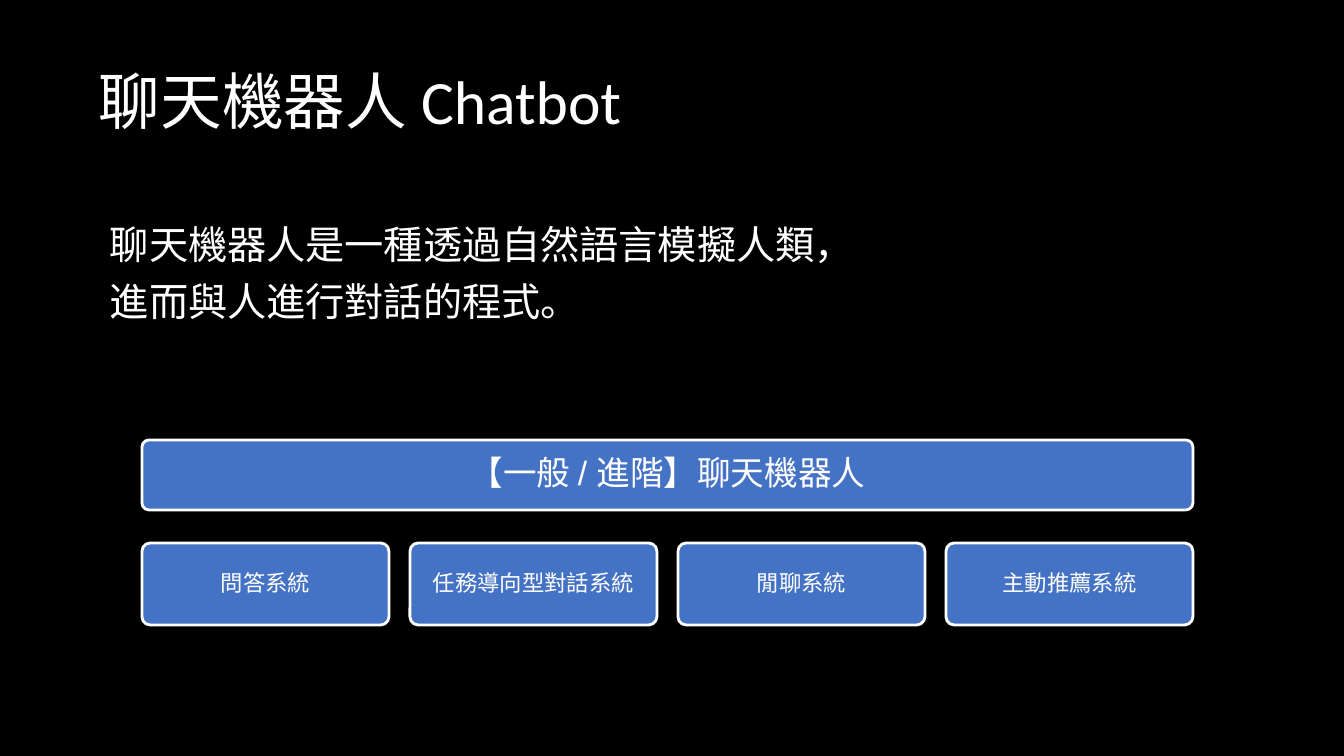
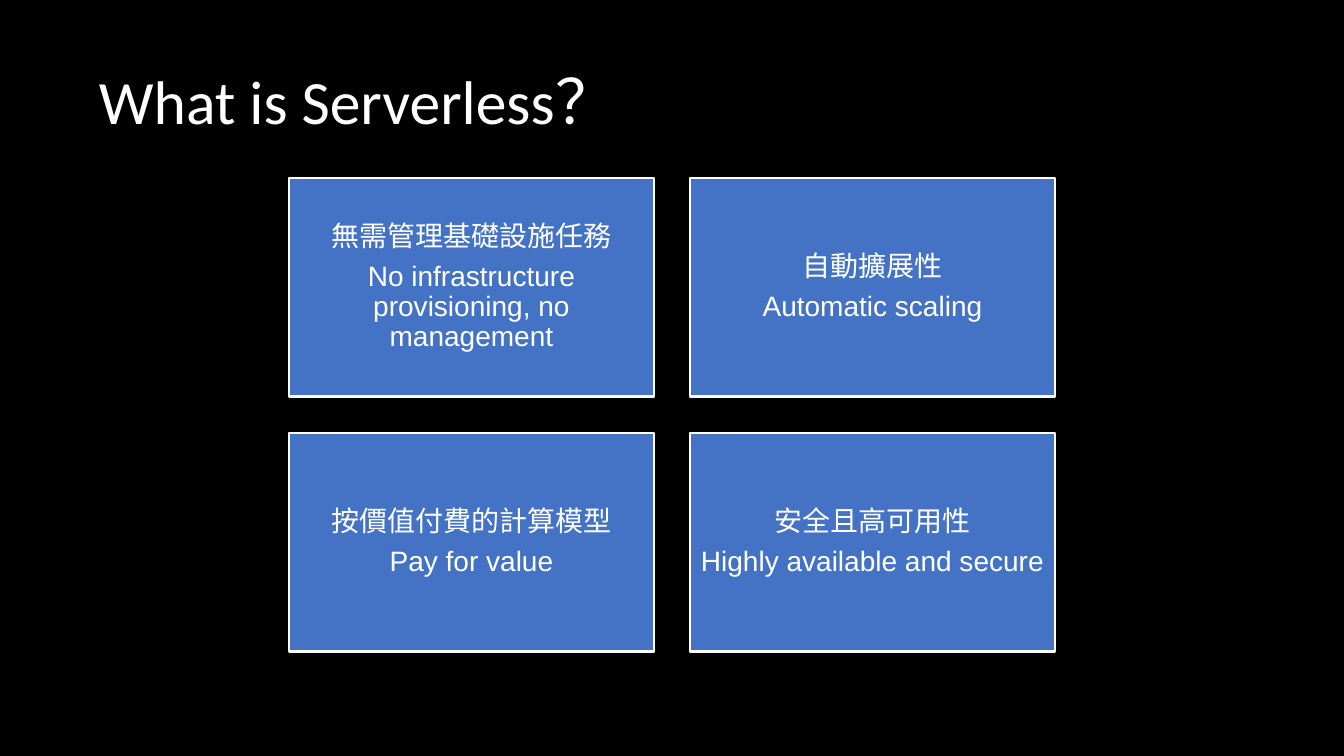
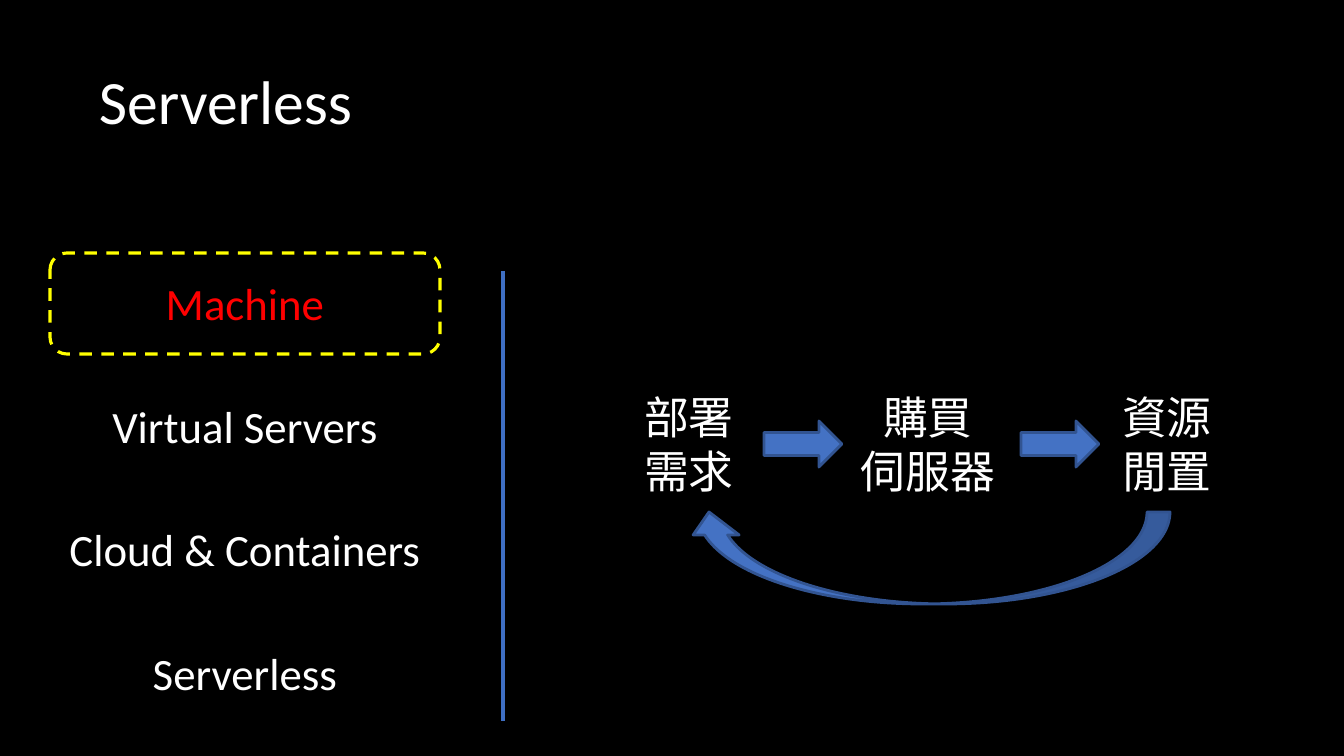
import pptx
import pptx.dml.color
import pptx.enum.dml
import pptx.enum.shapes
import pptx.enum.text
import pptx.oxml.ns
import pptx.util
import lxml.etree

SHAPES = pptx.enum.shapes.MSO_SHAPE
ANCHOR = pptx.enum.text.MSO_ANCHOR
ALIGN = pptx.enum.text.PP_ALIGN
POINT = pptx.util.Pt

BLACK = "000000"
WHITE = "FFFFFF"
RED = "FF0000"
YELLOW = "FFFF00"
BLUE = "4472C4"
DARK_BLUE = "325491"
RULE_BLUE = "3F6FC3"


def px(length):
    return pptx.util.Emu(round(length * 914400 / 100.8))


def color(value):
    return pptx.dml.color.RGBColor.from_string(value)


def apply_format(target, values):
    for name, value in values.items():
        setattr(target, name, value)


def write_text(shape, lines, size, font="Calibri", text_color=WHITE,
               frame_format=None, paragraph_format=None):
    frame = shape.text_frame
    frame.word_wrap = True
    apply_format(frame, frame_format or {})
    frame.text = "\n".join(lines)
    for paragraph in frame.paragraphs:
        apply_format(paragraph, paragraph_format or {})
        for run in paragraph.runs:
            apply_format(run.font, {"size": POINT(size), "name": font})
            run.font.color.rgb = color(text_color)


def add_text(slide, box, lines, size, **options):
    shape = slide.shapes.add_textbox(*map(px, box))
    write_text(shape, lines, size, **options)


def add_label(slide, center, top, width, height, lines, text_color=WHITE):
    add_text(slide, (center - width // 2, top, width, height), lines, 32,
             text_color=text_color, paragraph_format={"alignment": ALIGN.CENTER})


def add_shape(slide, kind, box, line_color, line_width=2, fill_color=None):
    shape = slide.shapes.add_shape(kind, *map(px, box))
    shape.shadow.inherit = False
    if fill_color:
        shape.fill.solid()
        shape.fill.fore_color.rgb = color(fill_color)
    else:
        shape.fill.background()
    shape.line.color.rgb = color(line_color)
    shape.line.width = POINT(line_width)
    return shape


def add_card(slide, kind, box, lines, size, inset):
    shape = add_shape(slide, kind, box, WHITE, fill_color=BLUE)
    if kind == SHAPES.ROUNDED_RECTANGLE:
        shape.adjustments[0] = 0.1
    sides = ("left", "top", "right", "bottom")
    frame_format = {f"margin_{side}": px(inset) for side in sides}
    frame_format["vertical_anchor"] = ANCHOR.MIDDLE
    write_text(shape, lines, size, font="Arial", frame_format=frame_format,
               paragraph_format={"alignment": ALIGN.CENTER, "line_spacing": 0.9,
                                 "space_after": POINT(size * 0.35)})


def add_arrow(slide, kind, box, rotation=0):
    arrow = add_shape(slide, kind, box, DARK_BLUE, fill_color=BLUE)
    arrow.rotation = rotation


def add_rule(slide, x, top, bottom):
    rule = slide.shapes.add_connector(
        pptx.enum.shapes.MSO_CONNECTOR.STRAIGHT, *map(px, (x, top, x, bottom)))
    rule.line.color.rgb = color(RULE_BLUE)
    rule.line.width = POINT(3)
    lxml.etree.SubElement(rule._element.spPr, pptx.oxml.ns.qn("a:effectLst"))


def add_slide(presentation, title):
    slide = presentation.slides.add_slide(presentation.slide_layouts[6])
    add_text(slide, (89, 32, 1167, 146), [title], 44,
             frame_format={"vertical_anchor": ANCHOR.MIDDLE},
             paragraph_format={"line_spacing": 0.9})
    return slide


def build_chatbot(presentation):
    slide = add_slide(presentation, "聊天機器人 Chatbot")
    add_text(slide, (100, 221, 1147, 480),
             ["聊天機器人是一種透過自然語言模擬人類，", "進而與人進行對話的程式。"], 28,
             paragraph_format={"line_spacing": 0.9, "space_before": POINT(10)})
    left, width, gap = 142, 247, 21
    systems = ["問答系統", "任務導向型對話系統", "閒聊系統", "主動推薦系統"]
    total = len(systems) * (width + gap) - gap
    add_card(slide, SHAPES.ROUNDED_RECTANGLE, (left, 440, total, 70),
             ["【一般 / 進階】聊天機器人"], 24, 10)
    for index, system in enumerate(systems):
        add_card(slide, SHAPES.ROUNDED_RECTANGLE,
                 (left + index * (width + gap), 543, width, 82), [system], 16, 7)


def build_serverless_question(presentation):
    slide = add_slide(presentation, "What is Serverless？")
    width, height, gap = 365, 219, 36
    benefits = [
        ["無需管理基礎設施任務", "No infrastructure provisioning, no management"],
        ["自動擴展性", "Automatic scaling"],
        ["按價值付費的計算模型", "Pay for value"],
        ["安全且高可用性", "Highly available and secure"],
    ]
    for index, lines in enumerate(benefits):
        row, column = divmod(index, 2)
        box = (289 + column * (width + gap), 178 + row * (height + gap), width, height)
        add_card(slide, SHAPES.RECTANGLE, box, lines, 20, 8)


def build_serverless_history(presentation):
    slide = add_slide(presentation, "Serverless")
    stages = [("Machine", 260, RED), ("Virtual Servers", 322, WHITE),
              ("Cloud & Containers", 478, WHITE), ("Serverless", 260, WHITE)]
    for index, (stage, width, text_color) in enumerate(stages):
        add_label(slide, 245, 271 + index * 370 // 3, width, 64, [stage], text_color)
    highlight = add_shape(slide, SHAPES.ROUNDED_RECTANGLE, (50, 253, 390, 101),
                          YELLOW, 2.25)
    highlight.line.dash_style = pptx.enum.dml.MSO_LINE.DASH
    add_rule(slide, 503, 271, 721)
    steps = [(["部署", "需求"], 158), (["購買", "伺服器"], 204), (["資源", "閒置"], 158)]
    for index, (lines, width) in enumerate(steps):
        add_label(slide, 689 + index * 239, 385, width, 119, lines)
    for left in (764, 1021):
        add_arrow(slide, SHAPES.RIGHT_ARROW, (left, 421, 78, 46))
    add_arrow(slide, SHAPES.CURVED_LEFT_ARROW, (882, 316, 92, 484), rotation=90)


def main():
    presentation = pptx.Presentation()
    apply_format(presentation, {"slide_width": px(1344), "slide_height": px(756)})
    background = presentation.slide_master.background.fill
    background.solid()
    background.fore_color.rgb = color(BLACK)
    build_chatbot(presentation)
    build_serverless_question(presentation)
    build_serverless_history(presentation)
    presentation.save("out.pptx")


if __name__ == "__main__":
    main()
